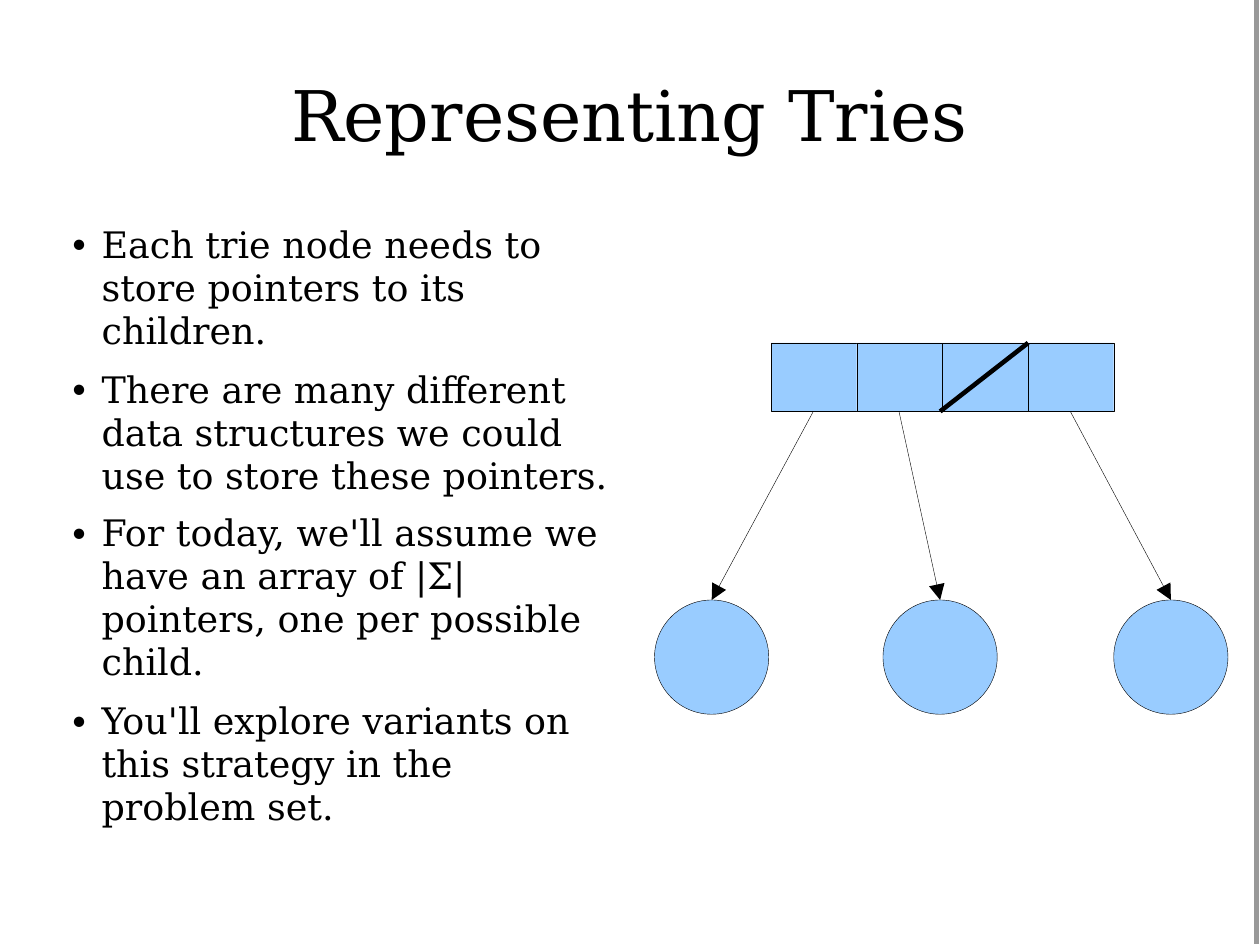
from lxml.etree import SubElement
from pptx import Presentation
from pptx.dml.color import RGBColor
from pptx.enum.shapes import MSO_CONNECTOR, MSO_SHAPE
from pptx.enum.text import PP_ALIGN
from pptx.oxml.ns import qn
from pptx.util import Pt

PX = 9144  # 100 px to the inch
COLORS = {"ink": "000000", "node": "99CCFF", "edge": "999999"}
FONT = "DejaVu Serif"


def add_line(start, end, color, width):
    points = [value * PX for value in (*start, *end)]
    line = slide.shapes.add_connector(MSO_CONNECTOR.STRAIGHT, *points)
    line.line.color.rgb = RGBColor.from_string(COLORS[color])
    line.line.width = Pt(width)
    SubElement(line._element.spPr, qn("a:effectLst"))
    return line


def add_text_box(left, top, width, height):
    box = slide.shapes.add_textbox(left * PX, top * PX, width * PX, height * PX)
    frame = box.text_frame
    margins = dict.fromkeys(("left", "top", "right", "bottom"), 0)
    for side, value in margins.items():
        setattr(frame, f"margin_{side}", value)
    frame.word_wrap = True
    return frame


presentation = Presentation()
presentation.slide_width = 1103 * PX
presentation.slide_height = 826 * PX
slide = presentation.slides.add_slide(presentation.slide_layouts[6])

# Right edge of the page
add_line((1100, 0), (1100, 826), "edge", 2.89)

# Title
paragraph = add_text_box(200, 63, 703, 76).paragraphs[0]
paragraph.text = "Representing Tries"
paragraph.alignment = PP_ALIGN.CENTER
title_format = {"name": FONT, "size": Pt(44)}
for name, value in title_format.items():
    setattr(paragraph.font, name, value)
paragraph.font.color.rgb = RGBColor.from_string(COLORS["ink"])

# Bullet points, each with its space before in points
points = [
    ("Each trie node needs to store pointers to its children.", 0),
    ("There are many different data structures we could use to store "
     "these pointers.", 10),
    ("For today, we'll assume we have an array of |Σ| pointers, one per "
     "possible child.", 9),
    ("You'll explore variants on this strategy in the problem set.", 10),
]
body_format = {"name": FONT, "size": Pt(23)}
hanging = 26 * PX
frame = add_text_box(63, 195, 473, 530)
for index, (text, space_before) in enumerate(points):
    paragraph = frame.add_paragraph() if index else frame.paragraphs[0]
    paragraph.text = text
    paragraph.line_spacing = Pt(27.1)
    paragraph.space_before = Pt(space_before)
    properties = paragraph._p.get_or_add_pPr()
    properties.set("marL", str(hanging))
    properties.set("indent", str(-hanging))
    SubElement(properties, qn("a:buSzPct"), val="80000")
    SubElement(properties, qn("a:buFont"), typeface="Calibri")
    SubElement(properties, qn("a:buChar"), char="•")
    for name, value in body_format.items():
        setattr(paragraph.font, name, value)
    paragraph.font.color.rgb = RGBColor.from_string(COLORS["ink"])

# Child nodes and pointer array
child_size, child_top = 100, 525
cell_width, cell_height, cell_top = 75, 60, 300
child_lefts = [573, 773, 975]
cell_lefts = [675 + cell_width * index for index in range(4)]
cell_bottom = cell_top + cell_height
boxes = [(MSO_SHAPE.OVAL, left, child_top, child_size, child_size)
         for left in child_lefts]
boxes += [(MSO_SHAPE.RECTANGLE, left, cell_top, cell_width, cell_height)
          for left in cell_lefts]
for kind, *lengths in boxes:
    shape = slide.shapes.add_shape(kind, *[value * PX for value in lengths])
    shape.shadow.inherit = False
    shape.fill.solid()
    shape.fill.fore_color.rgb = RGBColor.from_string(COLORS["node"])
    shape.line.color.rgb = RGBColor.from_string(COLORS["ink"])
    shape.line.width = Pt(0.25)

# Pointers from the used cells to the children
for cell, child_left in zip((0, 1, 3), child_lefts):
    start = (cell_lefts[cell] + cell_width // 2, cell_bottom)
    end = (child_left + child_size // 2, child_top)
    arrow = add_line(start, end, "ink", 0.25)
    SubElement(arrow.line._get_or_add_ln(), qn("a:tailEnd"),
               type="triangle", w="lg", len="lg")

# Slash through the empty cell
add_line((823, cell_bottom), (900, cell_top), "ink", 2.89)

presentation.save("out.pptx")
